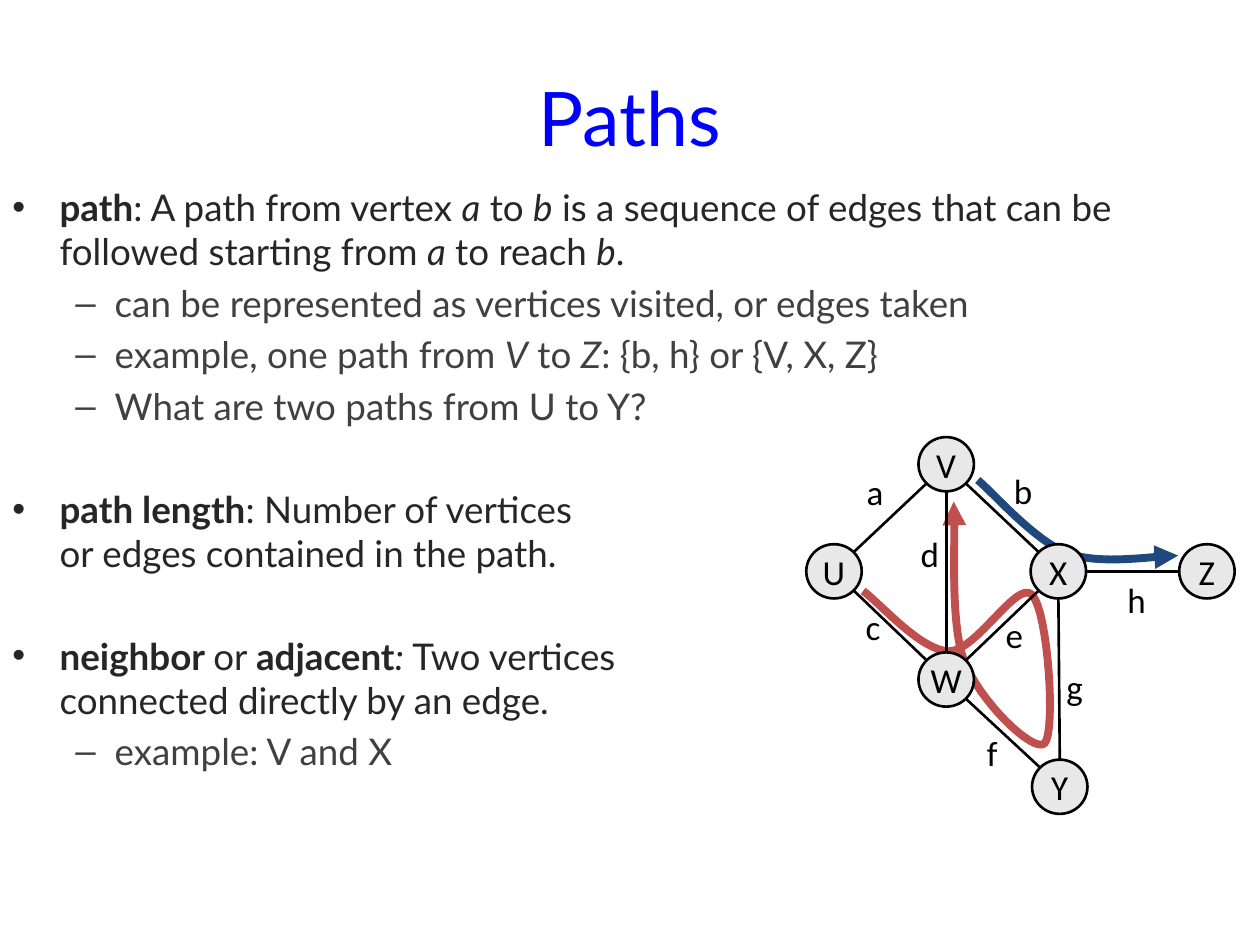
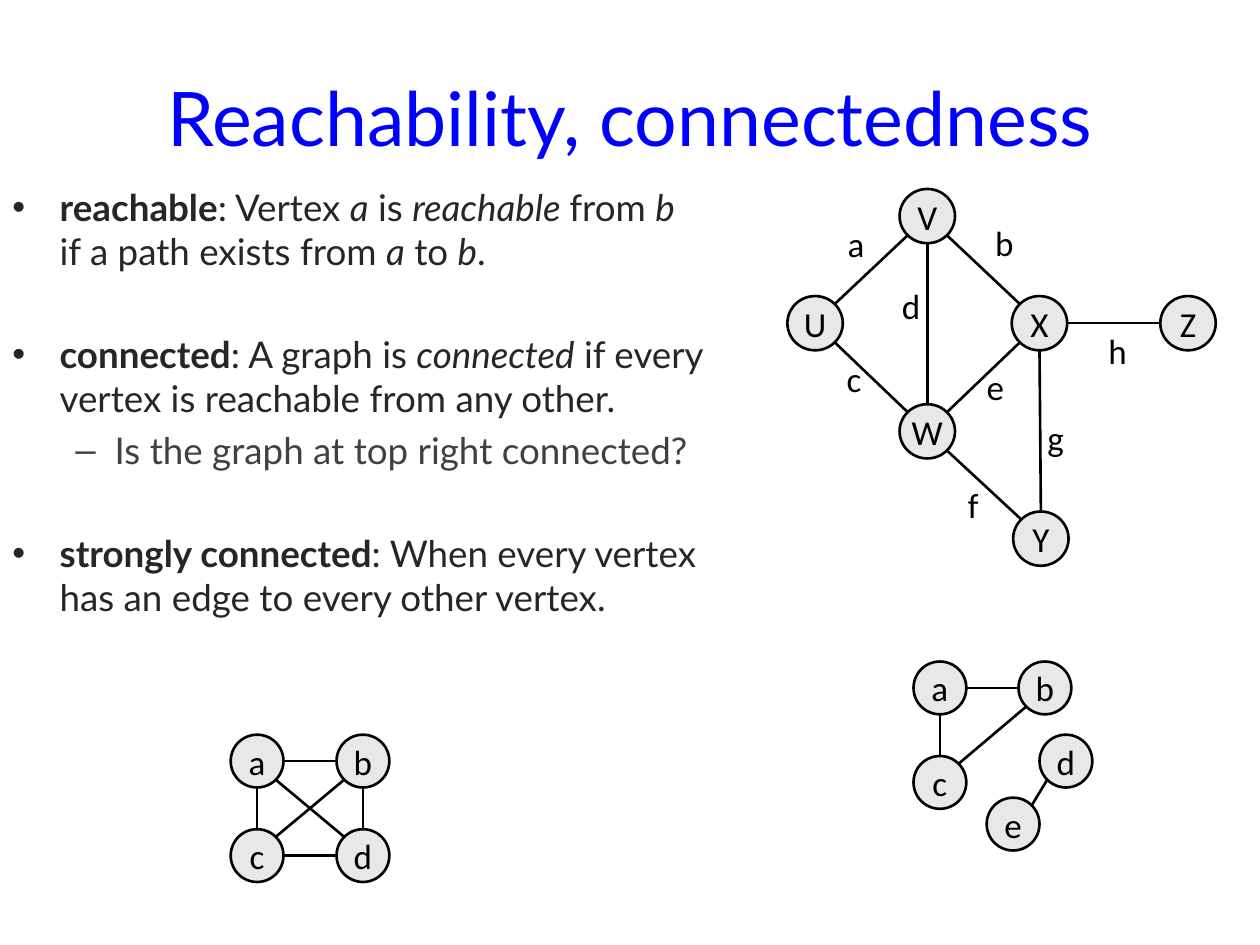
"""Build two slides on paths and connectedness in graphs."""
import math

import pptx
import pptx.dml.color
import pptx.enum.shapes
import pptx.enum.text
import pptx.oxml.ns
import pptx.util
from lxml import etree

Pt = pptx.util.Pt
qn = pptx.oxml.ns.qn

COLORS = {
    "title": "0000FF",
    "definition": "262626",
    "detail": "404040",
    "ink": "000000",
    "vertex": "E8E8E8",
    "long_route": "C0504D",
    "short_route": "1F497D",
}
TEXT_FONT = "Lato"
GRAPH_FONT = "Calibri"
LINE_GAP = 4.2
SECTION_GAP = 33.6
VERTEX_SIZE = (31.7, 31)
SMALL_VERTEX_SIZE = (30.2, 30.2)
LABEL_SIZE = (24.5, 31)

LEVELS = [
    {"margin": 27, "indent": -27, "bullet": "•", "color": "definition"},
    {"margin": 58.5, "indent": -22.5, "bullet": "–", "color": "detail"},
]

# Bullets are (level, space before, text); *bold* and _italic_ mark the runs.
PATH_NOTES = [
    (0, 0, "*path*: A path from vertex _a_ to _b_ is a sequence of edges that can be "
           "followed starting from _a_ to reach _b_."),
    (1, LINE_GAP, "can be represented as vertices visited, or edges taken"),
    (1, LINE_GAP, "example, one path from _V_ to _Z_: {b, h} or {V, X, Z}"),
    (1, LINE_GAP, "What are two paths from U to Y?"),
    (0, SECTION_GAP, "*path length*: Number of vertices\nor edges contained in the path."),
    (0, SECTION_GAP, "*neighbor *or *adjacent*_: _Two vertices\nconnected directly by an edge."),
    (1, LINE_GAP, "example: V and X"),
]
REACH_NOTES = [
    (0, 0, "*reachable*: Vertex _a_ is _reachable _from _b_\nif a path exists from _a_ to _b_."),
    (0, SECTION_GAP, "*connected*: A graph is _connected_ if every\n"
                     "vertex is reachable from any other."),
    (1, LINE_GAP, "Is the graph at top right connected?"),
    (0, SECTION_GAP, "*strongly connected*: When every vertex\nhas an edge to every other vertex."),
]

MAIN_VERTICES = {"X": (64.1, 61.2), "U": (-64.1, 61.2), "V": (0, 0),
                 "W": (0, 123), "Z": (149, 61.2), "Y": (64.9, 184.3)}
MAIN_EDGES = ["VU", "WU", "WX", "XZ", "VX", "VW", "WY", "XY"]
MAIN_LABELS = {"a": (-40.7, 15.8), "c": (-41.8, 92.9), "b": (43.9, 15.1), "e": (38.9, 97.2),
               "d": (-9.4, 51.1), "f": (26.3, 164.9), "g": (73.4, 126.7), "h": (108.7, 77)}
COMPLETE_VERTICES = {"a": (0, 0), "c": (0, 54), "b": (60.5, 0), "d": (60.5, 54)}
COMPLETE_EDGES = ["ac", "cd", "db", "cb", "ad", "ab"]
SPLIT_VERTICES = {"a": (0, 0), "c": (0, 54), "b": (60, 0), "d": (72, 41.8), "e": (41.8, 77.8)}
SPLIT_EDGES = ["ac", "ed", "cb", "ab"]

LONG_ROUTE = [(493.2, 337.7), (503.3, 344.9), (525.6, 371.5), (542.2, 372.2),
              (558, 372.2), (581, 331.2), (589.7, 339.8),
              (599, 349.2), (603.4, 418.3), (596.9, 424.8),
              (590.4, 430.6), (559.4, 400.3), (550.8, 377.3),
              (542.2, 354.2), (546.5, 301.7), (545, 286.6)]
SHORT_ROUTE = [(558.7, 274.3), (567.4, 281.5), (591.1, 308.9), (609.8, 316.1),
               (629.3, 323.3), (660.2, 317.5), (673.2, 317.5)]


def rgb(name):
    """Return the named palette colour."""
    return pptx.dml.color.RGBColor.from_string(COLORS[name])


def style_font(font, family, size, color):
    """Set the family, size and colour of a font."""
    font.name = family
    font.size = Pt(size)
    font.color.rgb = rgb(color)


def style_line(line, color, width):
    """Set the colour and width of a line."""
    line.color.rgb = rgb(color)
    line.width = Pt(width)


def write_centred(frame, text, family, size, color):
    """Write one centred line of text in a frame."""
    frame.text = text
    paragraph = frame.paragraphs[0]
    paragraph.alignment = pptx.enum.text.PP_ALIGN.CENTER
    style_font(paragraph.runs[0].font, family, size, color)


def add_title(slide, text):
    """Add the slide title."""
    frame = slide.shapes.add_textbox(Pt(36), Pt(21.6), Pt(648), Pt(90)).text_frame
    frame.word_wrap = True
    frame.vertical_anchor = pptx.enum.text.MSO_ANCHOR.MIDDLE
    write_centred(frame, text, TEXT_FONT, 43, "title")


def add_marked_runs(paragraph, text, color):
    """Add runs to a paragraph, reading its bold and italic marks."""
    for line_number, line in enumerate(text.split("\n")):
        if line_number:
            paragraph.add_line_break()
        for bold_turn, chunk in enumerate(line.split("*")):
            for italic_turn, part in enumerate(chunk.split("_")):
                if part:
                    run = paragraph.add_run()
                    run.text = part
                    style_font(run.font, TEXT_FONT, 21, color)
                    run.font.bold = bold_turn % 2 == 1
                    run.font.italic = italic_turn % 2 == 1


def add_notes_list(slide, notes):
    """Add the bulleted definitions."""
    frame = slide.shapes.add_textbox(0, Pt(102.2), Pt(720), Pt(437.8)).text_frame
    frame.word_wrap = True
    for number, (depth, gap, text) in enumerate(notes):
        level = LEVELS[depth]
        paragraph = frame.add_paragraph() if number else frame.paragraphs[0]
        properties = paragraph._p.get_or_add_pPr()
        properties.set("marL", str(Pt(level["margin"])))
        properties.set("indent", str(Pt(level["indent"])))
        etree.SubElement(properties, qn("a:buFont"), typeface="Arial")
        etree.SubElement(properties, qn("a:buChar"), char=level["bullet"])
        paragraph.level = depth
        paragraph.space_before = Pt(gap)
        add_marked_runs(paragraph, text, level["color"])


def add_vertex(shapes, name, centre, size):
    """Add a lettered vertex around its centre."""
    (x, y), (width, height) = centre, size
    vertex = shapes.add_shape(pptx.enum.shapes.MSO_SHAPE.OVAL, Pt(x - width / 2),
                              Pt(y - height / 2), Pt(width), Pt(height))
    vertex.shadow.inherit = False
    vertex.fill.solid()
    vertex.fill.fore_color.rgb = rgb("vertex")
    style_line(vertex.line, "ink", 1.5)
    vertex.text_frame.word_wrap = False
    vertex.text_frame.vertical_anchor = pptx.enum.text.MSO_ANCHOR.MIDDLE
    write_centred(vertex.text_frame, name, GRAPH_FONT, 20, "ink")


def rim_point(centre, target, size):
    """Return the point on a vertex rim, in steps of 45 degrees, facing a target."""
    step = math.pi / 4
    angle = round(math.atan2(target[1] - centre[1], target[0] - centre[0]) / step) * step
    return (centre[0] + size[0] / 2 * math.cos(angle),
            centre[1] + size[1] / 2 * math.sin(angle))


def add_edge(shapes, start, end, size):
    """Add an edge between the rims of two vertices."""
    points = rim_point(start, end, size) + rim_point(end, start, size)
    edge = shapes.add_connector(pptx.enum.shapes.MSO_CONNECTOR.STRAIGHT,
                                *[Pt(value) for value in points])
    style_line(edge.line, "ink", 1.5)
    etree.SubElement(edge._element.spPr, qn("a:effectLst"))


def add_edge_label(shapes, name, centre):
    """Add the letter of an edge around its centre."""
    (x, y), (width, height) = centre, LABEL_SIZE
    label = shapes.add_textbox(Pt(x - width / 2), Pt(y - height / 2), Pt(width), Pt(height))
    label.text_frame.word_wrap = False
    write_centred(label.text_frame, name, GRAPH_FONT, 20, "ink")


def add_graph(slide, origin, vertices, edges, size, labels=None):
    """Add a grouped graph whose coordinates are relative to an origin."""
    def place(offset):
        """Move an offset to its position on the slide."""
        return origin[0] + offset[0], origin[1] + offset[1]

    shapes = slide.shapes.add_group_shape().shapes
    centres = {name: place(offset) for name, offset in vertices.items()}
    for name, centre in centres.items():
        add_vertex(shapes, name, centre, size)
    for start, end in edges:
        add_edge(shapes, centres[start], centres[end], size)
    for name, offset in (labels or {}).items():
        add_edge_label(shapes, name, place(offset))


def add_main_graph(slide, origin):
    """Add the six-vertex example graph with vertex V at the origin."""
    add_graph(slide, origin, MAIN_VERTICES, MAIN_EDGES, VERTEX_SIZE, MAIN_LABELS)


def curve_points(controls, steps=16):
    """Return points along a chain of cubic curves."""
    points = [controls[0]]
    for first in range(0, len(controls) - 1, 3):
        segment = controls[first:first + 4]
        for step in range(1, steps + 1):
            t = step / steps
            weights = [math.comb(3, k) * (1 - t) ** (3 - k) * t ** k for k in range(4)]
            points.append(tuple(sum(w * p[axis] for w, p in zip(weights, segment))
                                for axis in (0, 1)))
    return points


def add_route(slide, controls, color):
    """Add a curved route that ends in an arrowhead."""
    points = [(Pt(x), Pt(y)) for x, y in curve_points(controls)]
    builder = slide.shapes.build_freeform(*points[0])
    builder.add_line_segments(points[1:], close=False)
    route = builder.convert_to_shape()
    route.shadow.inherit = False
    route.fill.background()
    style_line(route.line, color, 4.5)
    outline = route._element.spPr.find(qn("a:ln"))
    etree.SubElement(outline, qn("a:round"))
    etree.SubElement(outline, qn("a:tailEnd"), type="triangle")


def add_topic_slide(deck, title, notes):
    """Add a blank slide with its title and definitions."""
    slide = deck.slides.add_slide(deck.slide_layouts[6])
    add_title(slide, title)
    add_notes_list(slide, notes)
    return slide


def main():
    """Build and save the slides."""
    deck = pptx.Presentation()
    deck.slide_width, deck.slide_height = Pt(720), Pt(540)

    paths = add_topic_slide(deck, "Paths", PATH_NOTES)
    add_route(paths, LONG_ROUTE, "long_route")
    add_route(paths, SHORT_ROUTE, "short_route")
    add_main_graph(paths, (540.7, 265.3))

    reach = add_topic_slide(deck, "Reachability, connectedness", REACH_NOTES)
    add_main_graph(reach, (529.9, 123.5))
    add_graph(reach, (146.9, 434.9), COMPLETE_VERTICES, COMPLETE_EDGES, SMALL_VERTEX_SIZE)
    add_graph(reach, (537.1, 393.1), SPLIT_VERTICES, SPLIT_EDGES, SMALL_VERTEX_SIZE)

    deck.save("out.pptx")


if __name__ == "__main__":
    main()
